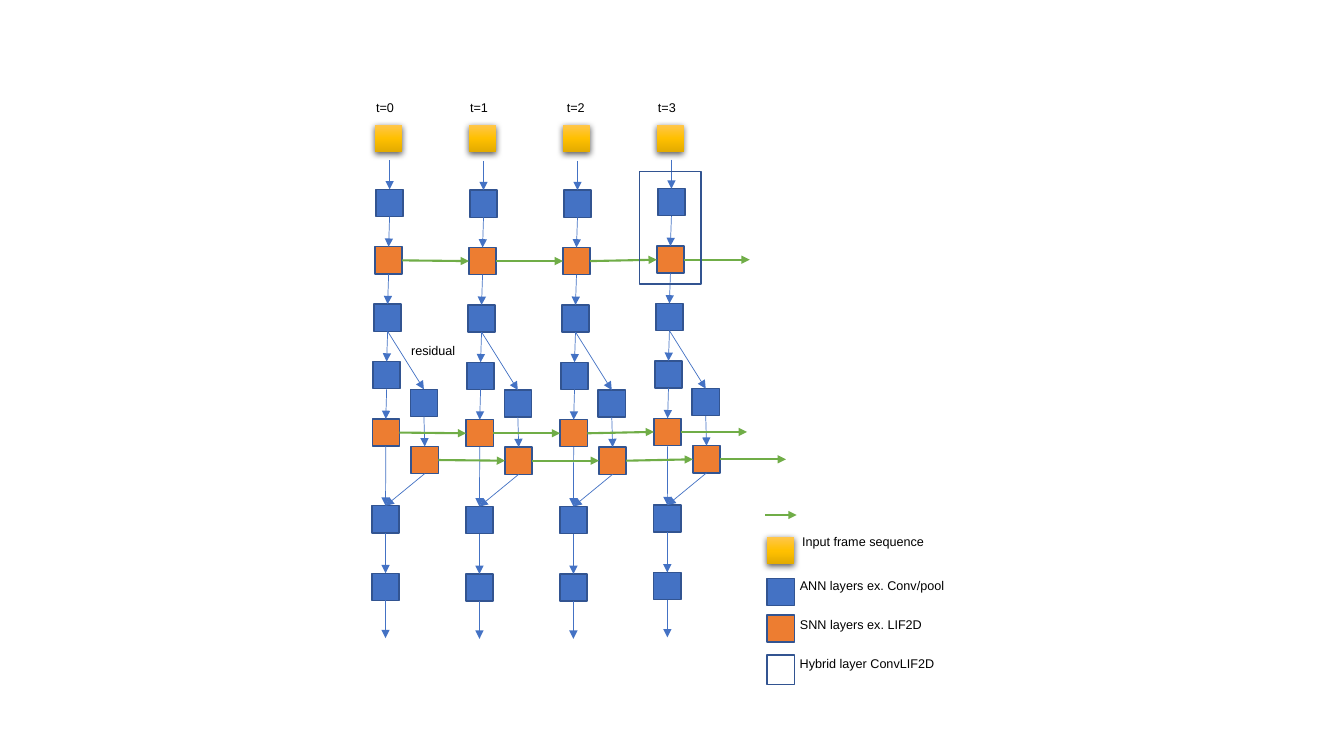
from pptx import Presentation
from pptx.dml.color import RGBColor
from pptx.enum.shapes import MSO_CONNECTOR, MSO_SHAPE
from pptx.enum.text import MSO_ANCHOR, PP_ALIGN
from pptx.oxml import parse_xml
from pptx.oxml.ns import nsdecls
from pptx.util import Pt

RECTANGLE = MSO_SHAPE.RECTANGLE
STRAIGHT = MSO_CONNECTOR.STRAIGHT
TOP = MSO_ANCHOR.TOP
LEFT, CENTER = PP_ALIGN.LEFT, PP_ALIGN.CENTER
TOP_SIDE, LEFT_SIDE, BOTTOM_SIDE, RIGHT_SIDE = range(4)

BLUE, ORANGE, GREEN = "4472C4", "ED7D31", "70AD47"
OUTLINE, BLACK = "325491", "000000"
FRAME_STOPS = [(0, "FFC64B"), (50, "FFC000"), (100, "E3AB00")]

SIDE = 19.4
COLUMN_PITCH = 67.1
STATE_ARROW = 47
LABEL_HEIGHT = 30

# name: (x, y, colour) within a time-step column
LAYERS = {
    "conv_in": (2.9, 46, BLUE),
    "spike_in": (2.2, 87, ORANGE),
    "conv_split": (1.5, 128, BLUE),
    "conv_main": (0.8, 169, BLUE),
    "spike_main": (0.2, 210, ORANGE),
    "conv_residual": (27.4, 188.8, BLUE),
    "spike_residual": (28, 229.6, ORANGE),
    "conv_merge": (0, 272, BLUE),
    "conv_out": (0, 320.2, BLUE),
}
FORWARD = [
    ("conv_in", "spike_in"),
    ("spike_in", "conv_split"),
    ("conv_split", "conv_main"),
    ("conv_main", "spike_main"),
    ("spike_main", "conv_merge"),
    ("conv_split", "conv_residual"),
    ("conv_residual", "spike_residual"),
    ("spike_residual", "conv_merge"),
    ("conv_merge", "conv_out"),
]
SPIKING = ["spike_in", "spike_main", "spike_residual"]

# time label, shift of the label, shift of the layers down
STEPS = [("t=0", 0, 0), ("t=1", 0, 0.5), ("t=2", 2, 0.5), ("t=3", 0, -0.5)]


def rgb(value):
    return RGBColor.from_string(value)


def add_box(page, x, y, width=SIDE, height=SIDE, fill=None):
    box = page.shapes.add_shape(RECTANGLE, Pt(x), Pt(y), Pt(width), Pt(height))
    box.shadow.inherit = False
    if fill:
        box.fill.solid()
        box.fill.fore_color.rgb = rgb(fill)
    else:
        box.fill.background()
    box.line.color.rgb = rgb(OUTLINE)
    box.line.width = Pt(1)
    return box


def add_frame(page, x, y):
    """Add a yellow input frame with a gradient and a soft shadow."""
    frame = page.shapes.add_shape(RECTANGLE, Pt(x), Pt(y), Pt(SIDE), Pt(SIDE))
    properties = frame._element.spPr
    stops = "".join(
        f'<a:gs pos="{place * 1000}"><a:srgbClr val="{colour}"/></a:gs>'
        for place, colour in FRAME_STOPS
    )
    properties.append(parse_xml(
        f'<a:gradFill {nsdecls("a")} rotWithShape="1"><a:gsLst>{stops}</a:gsLst>'
        '<a:lin ang="5400000" scaled="0"/></a:gradFill>'
    ))
    frame.line.fill.background()
    properties.append(parse_xml(
        f'<a:effectLst {nsdecls("a")}>'
        f'<a:outerShdw blurRad="{Pt(4.5)}" dist="{Pt(1.5)}" dir="5400000" '
        f'algn="ctr" rotWithShape="0"><a:srgbClr val="{BLACK}">'
        '<a:alpha val="63000"/></a:srgbClr></a:outerShdw></a:effectLst>'
    ))


def add_arrow(page, start, end, colour=BLUE, width=0.5):
    """Draw an arrow; each end is a point (x, y) or a joint (box, side)."""
    arrow = page.shapes.add_connector(STRAIGHT, 0, 0, 0, 0)
    if isinstance(start[0], (int, float)):
        arrow.begin_x, arrow.begin_y = Pt(start[0]), Pt(start[1])
    else:
        arrow.begin_connect(*start)
    if isinstance(end[0], (int, float)):
        arrow.end_x, arrow.end_y = Pt(end[0]), Pt(end[1])
    else:
        arrow.end_connect(*end)
    arrow.line.color.rgb = rgb(colour)
    arrow.line.width = Pt(width)
    arrow.line._get_or_add_ln().append(
        parse_xml(f'<a:tailEnd {nsdecls("a")} type="triangle"/>')
    )
    arrow._element.spPr.append(parse_xml(f'<a:effectLst {nsdecls("a")}/>'))


def add_text(page, text, x, y, width, align=CENTER, size=9, colour=BLACK):
    box = page.shapes.add_textbox(Pt(x), Pt(y), Pt(width), Pt(LABEL_HEIGHT))
    box.text_frame.word_wrap = False
    box.text_frame.vertical_anchor = TOP
    para = box.text_frame.paragraphs[0]
    para.alignment = align
    span = para.add_run()
    span.text = text
    span.font.name = "Arial"
    span.font.size = Pt(size)
    span.font.color.rgb = rgb(colour)


def draw_step(page, x, y, label, label_shift, drop):
    """Draw the network at one time step and return its layers by name."""
    add_text(page, label, x - 4.4 + label_shift, y - 21.4, 27.4)
    add_frame(page, x + 2, y)
    layers = {
        name: add_box(page, x + left, y + top + drop, fill=colour)
        for name, (left, top, colour) in LAYERS.items()
    }
    middle = x + LAYERS["conv_in"][0] + SIDE / 2
    add_arrow(page, (middle, y + 25.2 + drop), (layers["conv_in"], TOP_SIDE))
    for source, target in FORWARD:
        add_arrow(page, (layers[source], BOTTOM_SIDE), (layers[target], TOP_SIDE))
    add_arrow(page, (layers["conv_out"], BOTTOM_SIDE), (x + SIDE / 2, y + 366.5 + drop))
    return layers


def draw_network(page, x, y):
    """Draw all time steps, the state arrows between them and the hybrid outline."""
    steps = [
        draw_step(page, x + index * COLUMN_PITCH, y, *step)
        for index, step in enumerate(STEPS)
    ]
    last_x = x + (len(STEPS) - 1) * COLUMN_PITCH
    last_drop = STEPS[-1][2]
    for name in SPIKING:
        for current, following in zip(steps, steps[1:]):
            add_arrow(page, (current[name], RIGHT_SIDE), (following[name], LEFT_SIDE),
                      colour=GREEN, width=1.5)
        left, top, _ = LAYERS[name]
        tip = (last_x + left + SIDE + STATE_ARROW, y + top + last_drop + SIDE / 2)
        add_arrow(page, (steps[-1][name], RIGHT_SIDE), tip, colour=GREEN, width=1.5)
    add_text(page, "residual", x + 20.9, y + 151.9, 46, align=LEFT)
    add_box(page, last_x - 10.4, y + 33.1, 44.2, 80.6)


def draw_legend(page, x, y):
    add_arrow(page, (x - 1.4, y), (x + 21, y), colour=GREEN, width=1.5)
    add_frame(page, x, y + 15.8)
    add_box(page, x, y + 45.4, fill=BLUE)
    add_box(page, x, y + 71.4, fill=ORANGE)
    add_box(page, x, y + 100, height=21)
    entries = [
        ("Input frame sequence", 17.3, 10, 102.2),
        ("ANN layers ex. Conv/pool", 15.8, 41.6, 118),
        ("SNN layers ex. LIF2D", 15.8, 69.2, 102.2),
        ("Hybrid layer ConvLIF2D", 15.8, 97.2, 110.9),
    ]
    for text, left, top, width in entries:
        add_text(page, text, x + left, y + top, width)


def main():
    deck = Presentation()
    deck.slide_width, deck.slide_height = Pt(960), Pt(540)
    page = deck.slides.add_slide(deck.slide_layouts[6])
    draw_network(page, 265.7, 89.3)
    draw_legend(page, 548, 367.9)
    deck.save("out.pptx")


if __name__ == "__main__":
    main()
